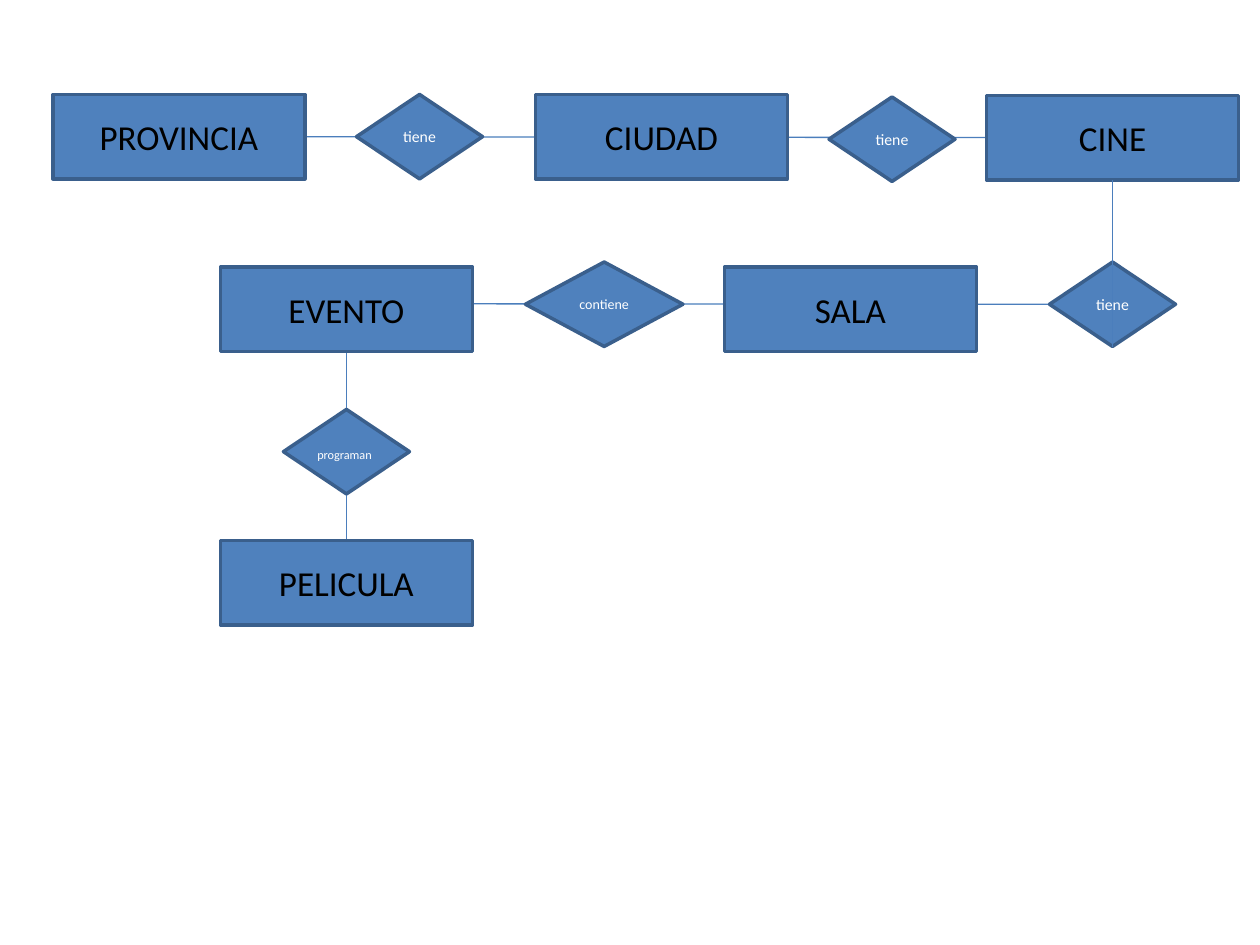
from lxml.etree import SubElement
from pptx import Presentation
from pptx.dml.color import RGBColor
from pptx.enum.shapes import MSO_CONNECTOR, MSO_SHAPE
from pptx.enum.text import MSO_ANCHOR, PP_ALIGN
from pptx.oxml.ns import qn
from pptx.util import Inches, Pt

BLUE = RGBColor(0x4F, 0x81, 0xBD)
EDGE = RGBColor(0x3A, 0x5F, 0x8C)
LINK = RGBColor(0x4B, 0x7E, 0xBC)
BLACK = RGBColor(0, 0, 0)
WHITE = RGBColor(255, 255, 255)

TITLE = "PROVINCIA"
BOX_W, BOX_H = 2, 0.67
LABEL_W, LABEL_H = 1.83, 0.92

# name, left, top
ENTITIES = [
    (TITLE, 0.42, 0.75),
    ("CIUDAD", 4.25, 0.75),
    ("CINE", 7.83, 0.76),
    ("SALA", 5.75, 2.12),
    ("PELICULA", 1.75, 4.29),
    ("EVENTO", 1.75, 2.12),
]
# key, text, left, top, width, size
RELATIONS = [
    ("provincia-ciudad", "tiene", 2.83, 0.75, 1, 9),
    ("ciudad-cine", "tiene", 6.58, 0.77, 1, 9),
    ("cine-sala", "tiene", 8.33, 2.08, 1, 9),
    ("sala-evento", "contiene", 4.17, 2.08, 1.25, 8),
    ("evento-pelicula", "", 2.25, 3.25, 1, 7),
]
# start, end, start joint, end joint; a joint is (shape, side)
BACK_LINKS = [
    ((2.75, 2.62), (2.75, 4.96), None, ("PELICULA", 2)),
    ((1.75, 2.41), (8.33, 2.42), None, ("cine-sala", 1)),
    ((2.42, 1.08), (9.83, 1.09), (TITLE, 3), ("CINE", 3)),
]
FRONT_LINK = ((8.83, 1.42), (8.83, 2.75), ("CINE", 2), ("cine-sala", 2))


def place(shape, left, top, width, height):
    shape.left, shape.top = Inches(left), Inches(top)
    shape.width, shape.height = Inches(width), Inches(height)


def write(shape, text, size, color, align=PP_ALIGN.CENTER, anchor=MSO_ANCHOR.MIDDLE):
    frame = shape.text_frame
    frame.text = text
    frame.word_wrap = True
    frame.vertical_anchor = anchor
    para = frame.paragraphs[0]
    para.alignment = align
    para.font.name = "Calibri"
    para.font.size = Pt(size)
    para.font.color.rgb = color


def add_block(shapes, kind, left, top, width):
    block = shapes.add_shape(kind, Inches(left), Inches(top), Inches(width), Inches(BOX_H))
    block.shadow.inherit = False
    block.fill.solid()
    block.fill.fore_color.rgb = BLUE
    block.line.color.rgb = EDGE
    block.line.width = Pt(2)
    return block


def add_link(shapes, start, end):
    ends = [Inches(n) for n in start + end]
    link = shapes.add_connector(MSO_CONNECTOR.STRAIGHT, *ends)
    link.line.color.rgb = LINK
    link.line.width = Pt(0.75)
    SubElement(link.element.spPr, qn("a:effectLst"))
    return link


def join(link, begin, end, blocks):
    if begin:
        link.begin_connect(blocks[begin[0]], begin[1])
    if end:
        link.end_connect(blocks[end[0]], end[1])


def add_entity(slide, name, left, top):
    """Draw an entity box with its label on top; the first label is the title."""
    shapes = slide.shapes
    if name == TITLE:
        box = add_block(shapes, MSO_SHAPE.RECTANGLE, left, top, BOX_W)
        label = shapes.title
        box.element.addnext(label.element)
    else:
        group = shapes.add_group_shape()
        box = add_block(group.shapes, MSO_SHAPE.RECTANGLE, left, top, BOX_W)
        label = group.shapes.add_textbox(0, 0, 0, 0)
    place(label, left + (BOX_W - LABEL_W) / 2, top + (BOX_H - LABEL_H) / 2, LABEL_W, LABEL_H)
    write(label, name, 20, BLACK)
    return box


def main():
    deck = Presentation()
    deck.slide_width, deck.slide_height = Inches(10), Inches(7.5)
    slide = deck.slides.add_slide(deck.slide_layouts[5])
    shapes = slide.shapes

    links = [add_link(shapes, start, end) for start, end, _, _ in BACK_LINKS]
    blocks = {name: add_entity(slide, name, left, top) for name, left, top in ENTITIES}
    for key, text, left, top, width, size in RELATIONS:
        blocks[key] = add_block(shapes, MSO_SHAPE.DIAMOND, left, top, width)
        if text:
            write(blocks[key], text, size, WHITE)

    label = shapes.add_textbox(Inches(2.42), Inches(3.5), Inches(0.67), Inches(0.22))
    write(label, "programan", 7, WHITE, PP_ALIGN.LEFT, MSO_ANCHOR.TOP)

    links.append(add_link(shapes, *FRONT_LINK[:2]))
    for link, (_, _, begin, end) in zip(links, BACK_LINKS + [FRONT_LINK]):
        join(link, begin, end, blocks)

    deck.save("out.pptx")


if __name__ == "__main__":
    main()
